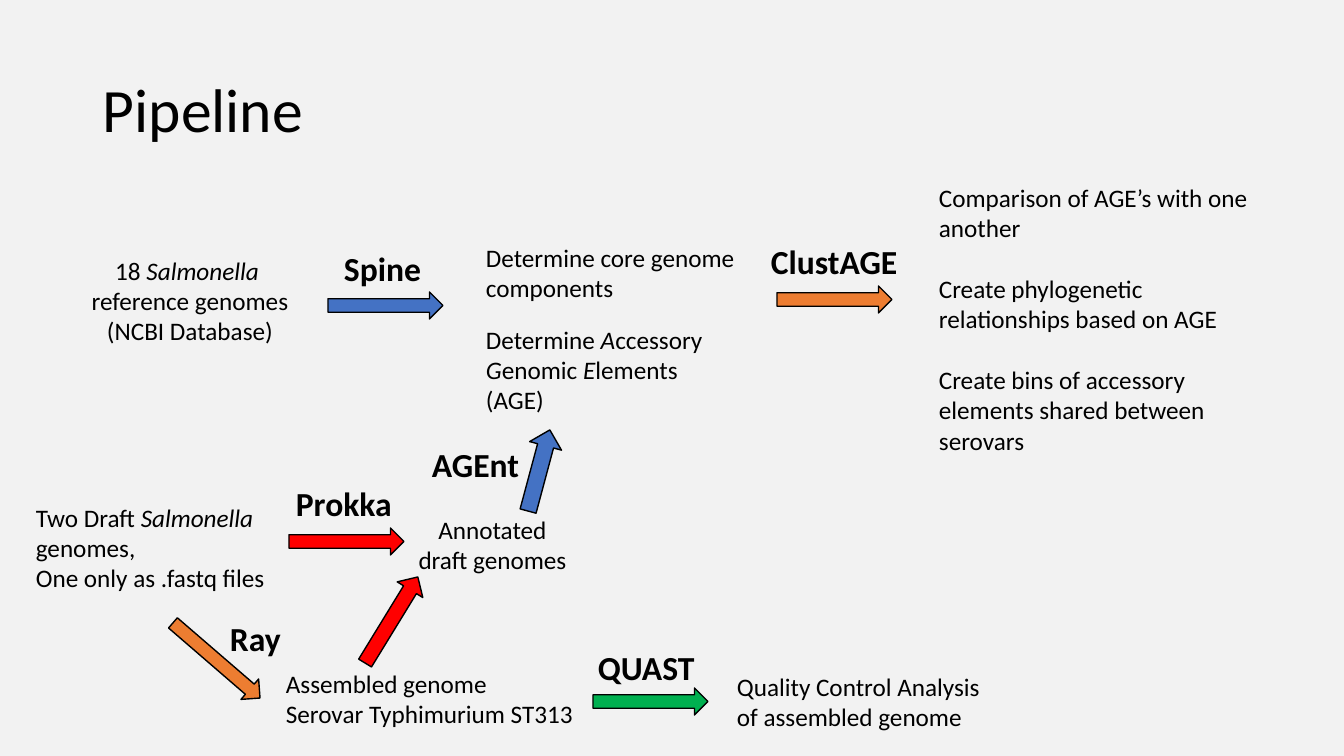
from pptx import Presentation
from pptx.dml.color import RGBColor
from pptx.enum.shapes import MSO_SHAPE as Shape
from pptx.enum.text import MSO_ANCHOR as Anchor, PP_ALIGN as Align
from pptx.util import Pt

SCALE = 12192000 / 1344  # EMU per px
BLACK, BLUE, ORANGE, RED, GREEN = "000000", "4472C4", "ED7D31", "FF0000", "00B050"


def px(*sizes):
    return [round(size * SCALE) for size in sizes]


def write(text, box, size=18, bold=False, align=Align.LEFT, wrap=True,
          anchor=Anchor.TOP, line=1.0, gap=0):
    """Add a text box: a newline starts a paragraph, *stars* mark italics."""
    frame = slide.shapes.add_textbox(*px(*box)).text_frame
    frame.word_wrap = wrap
    frame.vertical_anchor = anchor
    for i, part in enumerate(text.split("\n")):
        para = frame.paragraphs[0] if i == 0 else frame.add_paragraph()
        para.alignment = align
        para.line_spacing = line
        para.space_before = Pt(gap if i else 0)
        for j, piece in enumerate(part.split("*")):
            if piece:
                run = para.add_run()
                run.text = piece
                font = run.font
                font.name, font.size, font.bold = "Calibri", Pt(size), bold
                font.italic = j % 2 == 1
                font.color.rgb = RGBColor.from_string(BLACK)


deck = Presentation()
deck.slide_width, deck.slide_height = px(1344, 756)
slide = deck.slides.add_slide(deck.slide_layouts[6])
slide.background.fill.solid()
slide.background.fill.fore_color.rgb = RGBColor.from_string("F2F2F2")

write("Pipeline", (93, 40, 1159, 146), size=44, anchor=Anchor.MIDDLE, line=0.9)

# Steps
write("18 *Salmonella *\nreference genomes\n(NCBI Database)", (80, 250, 220, 102),
      align=Align.CENTER, wrap=False)
write("Determine core genome components", (476, 237, 309, 71))
write("Determine *A*ccessory *G*enomic *E*lements (AGE)", (476, 319, 251, 102))
write("Comparison of AGE’s with one another\n"
      "Create phylogenetic relationships based on AGE\n"
      "Create bins of accessory elements shared between serovars",
      (929, 177, 353, 285), gap=22)
write("Two Draft *Salmonella* genomes,\nOne only as .fastq files", (26, 497, 254, 102))
write("Annotated draft genomes", (404, 509, 177, 72), align=Align.CENTER)
write("Assembled genome\nSerovar Typhimurium ST313", (276, 663, 310, 72), wrap=False)
write("Quality Control Analysis of assembled genome", (727, 666, 287, 72))

# Tools
tools = [
    ("Spine", 334, 243, 99),
    ("ClustAGE", 761, 236, 148),
    ("AGEnt", 422, 439, 108),
    ("Prokka", 286, 478, 117),
    ("Ray", 220, 613, 100),
    ("QUAST", 588, 642, 118),
]
for name, left, top, width in tools:
    write(name, (left, top, width, 50), size=24, bold=True, wrap=False)

# Arrows: left, top, width, height, turn, colour
arrows = [
    (328, 292, 115, 27, 0, BLUE),
    (777, 286, 115, 27, 0, ORANGE),
    (289, 528, 115, 27, 0, RED),
    (593, 688, 115, 27, 0, GREEN),
    (159, 647, 115, 27, 40.8, ORANGE),
    (341, 605, 101, 30, 301.5, RED),
    (497, 454, 84, 33, 285, BLUE),
]
for *box, turn, color in arrows:
    arrow = slide.shapes.add_shape(Shape.RIGHT_ARROW, *px(*box))
    arrow.rotation = turn
    arrow.shadow.inherit = False
    arrow.fill.solid()
    arrow.fill.fore_color.rgb = RGBColor.from_string(color)
    arrow.line.color.rgb = RGBColor.from_string(BLACK)
    arrow.line.width = Pt(1)

deck.save("out.pptx")
